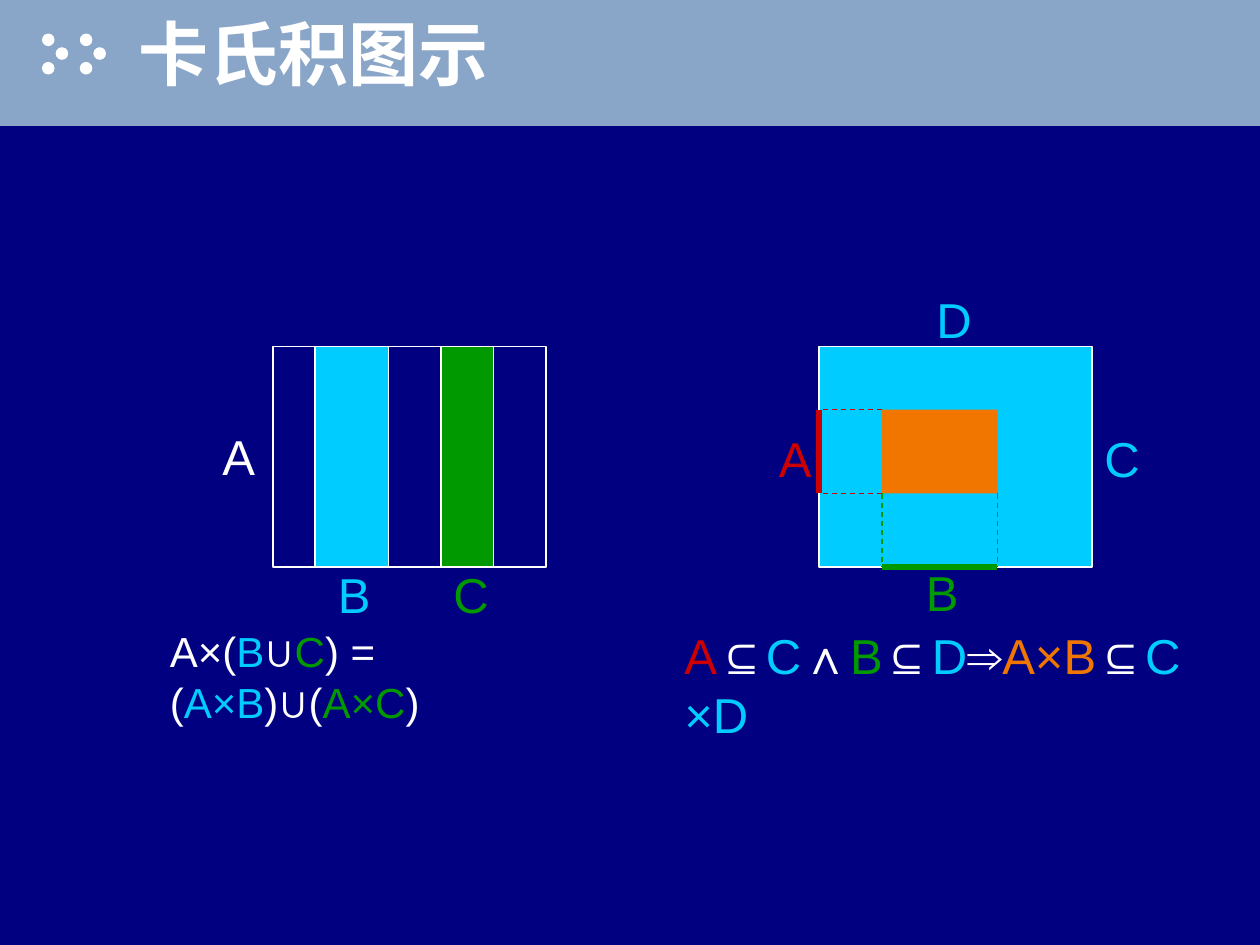
"""Build a slide that draws Cartesian products as nested rectangles."""
import pptx
import pptx.util
import pptx.dml.color
import pptx.enum.dml
import pptx.enum.shapes
import pptx.enum.text
import pptx.oxml
import pptx.oxml.ns

SCALE = 7620
SIZE = (1200, 900)
LATIN, HAN = "Arial", "Noto Sans CJK SC"
HEX = {"navy": "000080", "band": "89A5C7", "white": "FFFFFF", "cyan": "00CCFF",
       "green": "009900", "orange": "F07600", "red": "CC0000", "shade": "000000"}

TITLE = "卡氏积图示"
DOTS = [(x + dx, y) for x in (40, 76) for dx, y in ((0, 32), (13, 45), (0, 59))]
DOT = 12

TOP, WIDE, HIGH = 330, 260, 210
LEFT, RIGHT = 260, 780
BASE = TOP + HIGH
INNER = (840, 390, 110, 80)
RECTS = [
    ((LEFT, TOP, WIDE, HIGH), None, "white"),
    ((300, TOP, 70, HIGH), "cyan", "white"),
    ((420, TOP, 50, HIGH), "green", "white"),
    ((RIGHT, TOP, WIDE, HIGH), "cyan", "white"),
    (INNER, "orange", None),
]
LABELS = [
    ("A", 200, 400, "white"), ("B", 310, 532, "cyan"), ("C", 420, 532, "green"),
    ("B", 870, 530, "green"), ("A", 730, 402, "red"),
    ("C", 1040, 402, "cyan"), ("D", 880, 270, "cyan"),
]
RULES = [
    ((150, 590, 460, 108), 24, [
        ("A×(", "white"), ("B", "cyan"), ("∪", "white"), ("C", "green"),
        (") = (", "white"), ("A×B", "cyan"), (")∪(", "white"),
        ("A×C", "green"), (")", "white")]),
    ((640, 590, 510, 125), 28, [
        ("A", "red"), ("⊆", "white"), ("C", "cyan"), ("∧", "white"),
        ("B", "green"), ("⊆", "white"), ("D", "cyan"), ("⇒", "white"),
        ("A×B", "orange"), ("⊆", "white"), ("C×D", "cyan")]),
]


def px(*nums):
    return [pptx.util.Emu(n * SCALE) for n in nums]


def tint(name):
    return pptx.dml.color.RGBColor.from_string(HEX[name])


def draw(shapes, kind, box, fill, line=None):
    shape = shapes.add_shape(kind, *px(*box))
    shape.shadow.inherit = False
    if fill:
        shape.fill.solid()
        shape.fill.fore_color.rgb = tint(fill)
    else:
        shape.fill.background()
    if line:
        shape.line.color.rgb = tint(line)
        shape.line.width = pptx.util.Pt(0.75)
    else:
        shape.line.fill.background()


def link(shapes, ends, color, width, dash=False):
    line = shapes.add_connector(pptx.enum.shapes.MSO_CONNECTOR.STRAIGHT, *px(*ends))
    line.line.color.rgb = tint(color)
    line.line.width = pptx.util.Pt(width)
    if dash:
        line.line.dash_style = pptx.enum.dml.MSO_LINE.DASH
    line._element.spPr.append(pptx.oxml.parse_xml(
        f"<a:effectLst {pptx.oxml.ns.nsdecls('a')}/>"))


def write(shapes, box, size, parts):
    frame = shapes.add_textbox(*px(*box)).text_frame
    frame.word_wrap = True
    frame.auto_size = pptx.enum.text.MSO_AUTO_SIZE.SHAPE_TO_FIT_TEXT
    para = frame.paragraphs[0]
    para.font.size = pptx.util.Pt(size)
    para.font.name = LATIN
    for text, color in parts:
        run = para.add_run()
        run.text = text
        run.font.color.rgb = tint(color)


def head(slide):
    title = slide.shapes.title
    title.left, title.top, title.width, title.height = px(120, 0, 1080, 100)
    frame = title.text_frame
    frame.text = TITLE
    frame.vertical_anchor = pptx.enum.text.MSO_ANCHOR.MIDDLE
    para = frame.paragraphs[0]
    para.alignment = pptx.enum.text.PP_ALIGN.LEFT
    font = para.runs[0].font
    font.size, font.bold, font.name = pptx.util.Pt(40), True, HAN
    font.color.rgb = tint("white")
    names = pptx.oxml.ns.nsdecls("a")
    mark = para.runs[0]._r.get_or_add_rPr()
    mark.find(pptx.oxml.ns.qn("a:latin")).addprevious(pptx.oxml.parse_xml(
        f'<a:effectLst {names}><a:outerShdw dist="25400" dir="2700000">'
        f'<a:srgbClr val="{HEX["shade"]}"/></a:outerShdw></a:effectLst>'))
    mark.append(pptx.oxml.parse_xml(f'<a:ea {names} typeface="{HAN}"/>'))
    slide.shapes._spTree.append(title._element)


def main():
    deck = pptx.Presentation()
    deck.slide_width, deck.slide_height = px(*SIZE)
    slide = deck.slides.add_slide(deck.slide_layouts[5])
    slide.background.fill.solid()
    slide.background.fill.fore_color.rgb = tint("navy")
    shapes = slide.shapes
    kinds = pptx.enum.shapes.MSO_SHAPE

    draw(shapes, kinds.RECTANGLE, (0, 0, SIZE[0], 120), "band")
    group = shapes.add_group_shape()
    for x, y in DOTS:
        draw(group.shapes, kinds.OVAL, (x, y, DOT, DOT), "white")
    head(slide)

    for box, fill, line in RECTS:
        draw(shapes, kinds.RECTANGLE, box, fill, line)
    x, y, wide, high = INNER
    end, low = x + wide, y + high
    for side in (low, y):
        link(shapes, (x, side, RIGHT, side), "red", 0.75, True)
    for side in (x, end):
        link(shapes, (side, low, side, BASE), "green", 0.75, True)
    link(shapes, (RIGHT, low, RIGHT, y), "red", 3)
    link(shapes, (x, BASE, end, BASE), "green", 3)

    for text, x, y, color in LABELS:
        write(shapes, (x, y, 50, 68), 28, [(text, color)])
    for box, size, parts in RULES:
        write(shapes, box, size, parts)
    deck.save("out.pptx")


if __name__ == "__main__":
    main()
